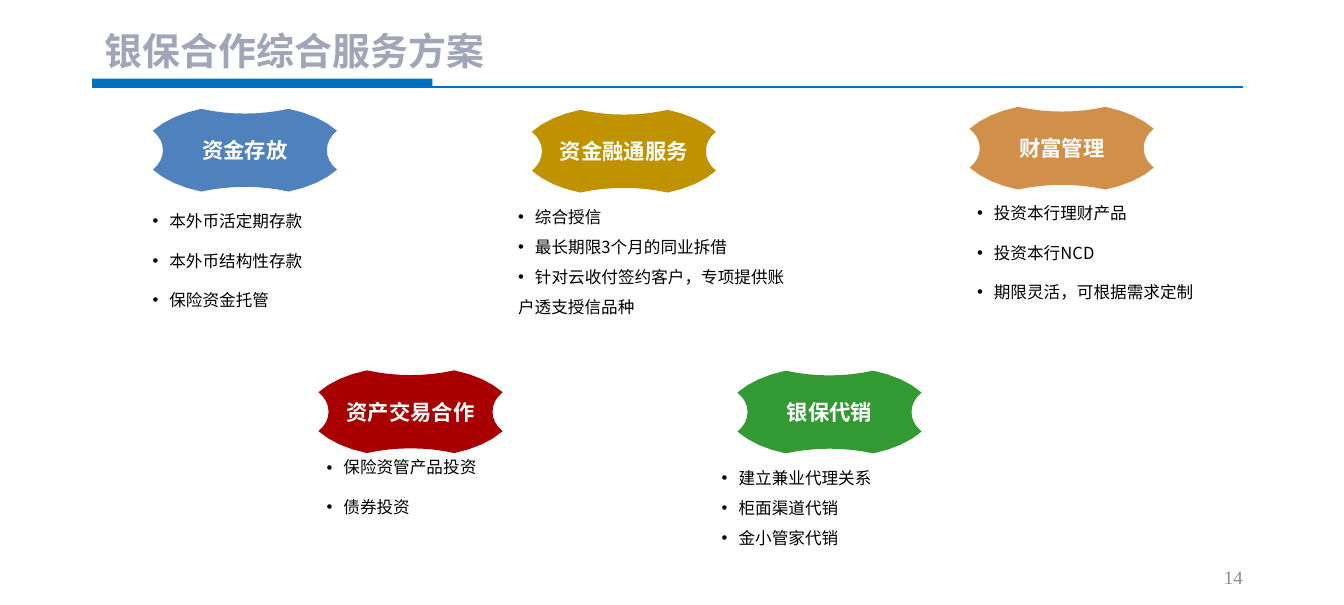
from dataclasses import dataclass

from lxml import etree
from pptx import Presentation
from pptx.dml.color import RGBColor
from pptx.enum.shapes import MSO_CONNECTOR, MSO_SHAPE
from pptx.enum.text import MSO_ANCHOR, MSO_AUTO_SIZE, PP_ALIGN
from pptx.oxml.ns import qn
from pptx.util import Cm, Pt

LEFT, CENTER, RIGHT = PP_ALIGN.LEFT, PP_ALIGN.CENTER, PP_ALIGN.RIGHT
TOP, MIDDLE = MSO_ANCHOR.TOP, MSO_ANCHOR.MIDDLE
NO_AUTOFIT = MSO_AUTO_SIZE.NONE
RECTANGLE, STRAIGHT = MSO_SHAPE.RECTANGLE, MSO_CONNECTOR.STRAIGHT
COMPARISON_LAYOUT = 4
CURVE_STEPS = 4
BADGE_QUADRANT = [
    ((0, -1.09), (0.66, -1.09), (1.3, -1.23)),
    ((1.3, -1.23), (2.21, -1.04), (2.74, -0.58)),
    ((2.74, -0.58), (2.44, -0.33), (2.44, 0)),
]


@dataclass(frozen=True)
class Theme:
    """Colours, fonts and type sizes of the slide."""
    font: str = "Noto Sans CJK SC"
    number_font: str = "Times New Roman"
    accent: str = "0070C0"
    title: str = "A0A5B8"
    text: str = "000000"
    inverse: str = "FFFFFF"
    muted: str = "8C8C8C"
    blue: str = "4F81BD"
    red: str = "A80000"
    gold: str = "C09200"
    green: str = "339933"
    orange: str = "D19049"
    title_size: int = 32
    badge_size: int = 18
    list_size: int = 14
    number_size: int = 16


THEME = Theme()


def write_text(paragraph, text, size, color, font=THEME.font, bold=False,
               align=LEFT, line=None, after=0, bullet=False):
    """Write formatted text into a paragraph."""
    paragraph.alignment = align
    paragraph.space_before, paragraph.space_after = Pt(0), Pt(after)
    if line:
        paragraph.line_spacing = Pt(line)
    if bullet:
        properties = paragraph._p.get_or_add_pPr()
        properties.set("marL", "0")
        properties.set("indent", "0")
        etree.SubElement(properties, qn("a:buFont"), typeface="Arial")
        etree.SubElement(properties, qn("a:buChar"), char="•")
        tabs = etree.SubElement(properties, qn("a:tabLst"))
        etree.SubElement(tabs, qn("a:tab"), pos=str(Cm(0.5)), algn="l")
    run = paragraph.add_run()
    run.text = "\t" + text if bullet else text
    run.font.size, run.font.bold, run.font.name = Pt(size), bold, font
    run.font.color.rgb = RGBColor.from_string(color)
    etree.SubElement(run._r.get_or_add_rPr(), qn("a:ea"), typeface=font)


def curve_points(start, control, end):
    """Sample a quadratic curve, leaving out its end point."""
    for step in range(CURVE_STEPS):
        t = step / CURVE_STEPS
        yield tuple((1 - t) ** 2 * a + 2 * t * (1 - t) * b + t * t * c
                    for a, b, c in zip(start, control, end))


def badge_outline():
    """Mirror one quadrant of the badge into its whole outline."""
    quarter = [point for curve in BADGE_QUADRANT for point in curve_points(*curve)]
    right = quarter + [BADGE_QUADRANT[-1][-1]] + [(x, -y) for x, y in reversed(quarter)]
    return right + [(-x, y) for x, y in reversed(right[1:-1])]


class SlideBuilder:
    """Holds the theme and the current slide."""

    def __init__(self, presentation, theme):
        """Add a slide and collect its placeholders."""
        self.theme = theme
        self.slide = presentation.slides.add_slide(
            presentation.slide_layouts[COMPARISON_LAYOUT])
        self.shapes = self.slide.shapes
        self.bodies = [shape for shape in self.slide.placeholders
                       if shape.placeholder_format.idx > 0]

    def place(self, shape, left, top, width, height, anchor=TOP, margin=None):
        """Move a text shape and return its prepared text frame."""
        shape.left, shape.top = Cm(left), Cm(top)
        shape.width, shape.height = Cm(width), Cm(height)
        frame = shape.text_frame
        frame.word_wrap, frame.auto_size = True, NO_AUTOFIT
        frame.vertical_anchor = anchor
        if margin is not None:
            frame.margin_left = frame.margin_right = Cm(margin)
            frame.margin_top = frame.margin_bottom = Cm(margin)
        return frame

    def text_box(self):
        """Add an empty text box."""
        return self.shapes.add_textbox(0, 0, 0, 0)

    def fill(self, shape, color):
        """Give a shape a flat fill with no line or shadow."""
        shape.shadow.inherit = False
        shape.fill.solid()
        shape.fill.fore_color.rgb = RGBColor.from_string(color)
        shape.line.fill.background()

    def title(self, text):
        """Fill the title placeholder."""
        frame = self.place(self.shapes.title, 2.86, 0.69, 17.55, 1.63, MIDDLE)
        write_text(frame.paragraphs[0], text, self.theme.title_size,
                   self.theme.title, bold=True)

    def rule(self, left, right, y):
        """Draw the thin line under the title."""
        line = self.shapes.add_connector(STRAIGHT, Cm(left), Cm(y), Cm(right), Cm(y))
        line.line.color.rgb = RGBColor.from_string(self.theme.accent)
        line.line.width = Pt(1.5)
        etree.SubElement(line._element.spPr, qn("a:effectLst"))

    def bar(self, left, top, width, height):
        """Draw the thick bar under the title."""
        shape = self.shapes.add_shape(RECTANGLE, Cm(left), Cm(top), Cm(width), Cm(height))
        self.fill(shape, self.theme.accent)

    def badge(self, text, x, y, color):
        """Draw a curved badge centred on a point."""
        points = [(Cm(x + dx), Cm(y + dy)) for dx, dy in badge_outline()]
        builder = self.shapes.build_freeform(*points[0])
        builder.add_line_segments(points[1:], close=True)
        shape = builder.convert_to_shape()
        self.fill(shape, color)
        shape.text_frame.vertical_anchor = MIDDLE
        write_text(shape.text_frame.paragraphs[0], text, self.theme.badge_size,
                   self.theme.inverse, bold=True, align=CENTER)

    def bullets(self, items, left, top, width, height, line, after):
        """Fill the next body placeholder, or a text box, with a list."""
        shape = self.bodies.pop(0) if self.bodies else self.text_box()
        frame = self.place(shape, left, top, width, height, margin=0)
        for index, item in enumerate(items):
            paragraph = frame.add_paragraph() if index else frame.paragraphs[0]
            write_text(paragraph, item, self.theme.list_size, self.theme.text,
                       line=line, after=after, bullet=True)

    def page_number(self, text):
        """Write the page number at the lower right."""
        frame = self.place(self.text_box(), 28.24, 16.69, 9, 0.97, MIDDLE)
        write_text(frame.paragraphs[0], text, self.theme.number_size,
                   self.theme.muted, font=self.theme.number_font, align=RIGHT)


LOOSE = {"line": 17, "after": 16.3}
DENSE = {"line": 25.2, "after": 0}
SERVICES = [
    ("资金存放", (7.29, 4.47), THEME.blue, (4.54, 6.27, 7.57, 3), LOOSE,
     ["本外币活定期存款", "本外币结构性存款", "保险资金托管"]),
    ("资产交易合作", (12.22, 12.25), THEME.red, (9.72, 13.6, 7.57, 1.8), LOOSE,
     ["保险资管产品投资", "债券投资"]),
    ("资金融通服务", (18.57, 4.5), THEME.gold, (15.42, 5.86, 8.18, 3.66), DENSE,
     ["综合授信", "最长期限3个月的同业拆借",
      "针对云收付签约客户，专项提供账户透支授信品种"]),
    ("银保代销", (24.69, 12.26), THEME.green, (21.48, 13.62, 7.57, 2.77), DENSE,
     ["建立兼业代理关系", "柜面渠道代销", "金小管家代销"]),
    ("财富管理", (31.6, 4.41), THEME.orange, (29.08, 6.04, 7.57, 3.43), LOOSE,
     ["投资本行理财产品", "投资本行NCD", "期限灵活，可根据需求定制"]),
]


def main():
    """Build and save the slide."""
    presentation = Presentation()
    presentation.slide_width, presentation.slide_height = Cm(40), Cm(18)
    builder = SlideBuilder(presentation, THEME)
    builder.rule(2.74, 37, 2.59)
    builder.bar(2.74, 2.34, 10.13, 0.25)
    builder.title("银保合作综合服务方案")
    for name, center, color, box, spacing, items in SERVICES:
        builder.badge(name, *center, color)
        builder.bullets(items, *box, **spacing)
    builder.page_number("14")
    presentation.save("out.pptx")


main()
